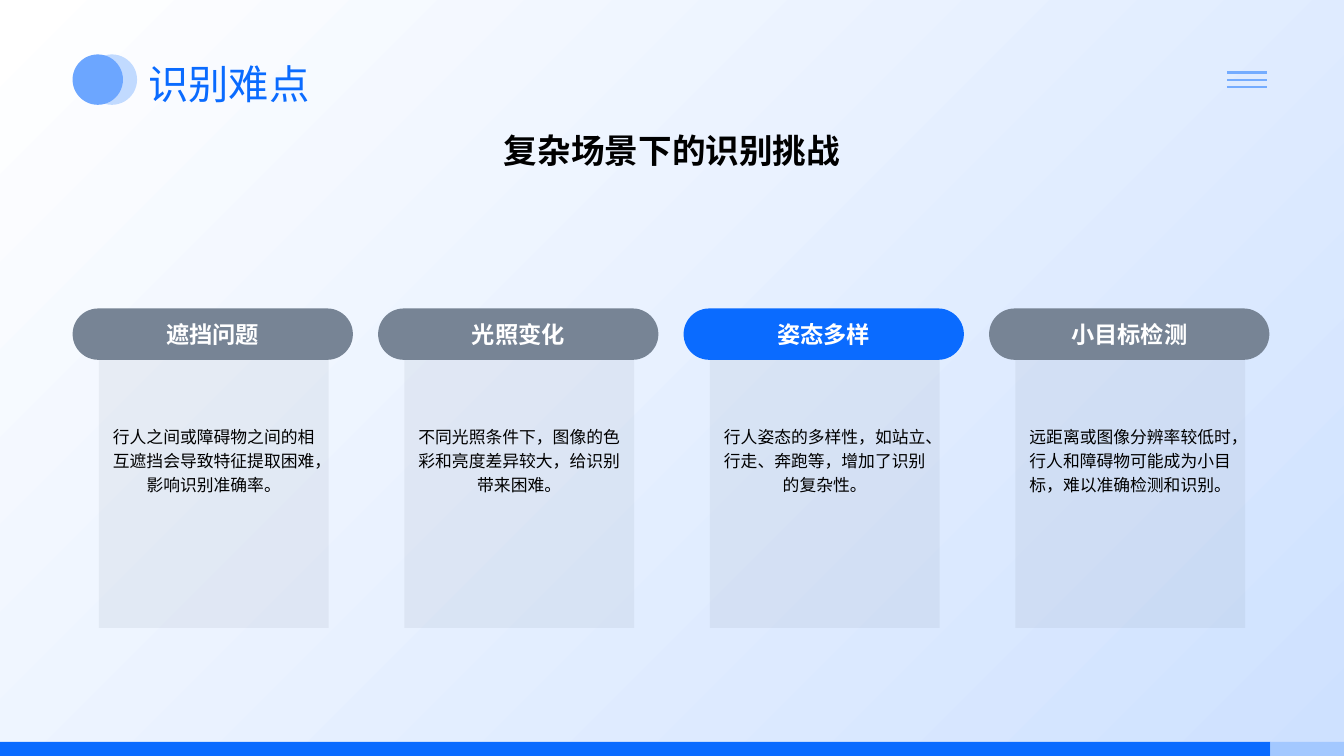
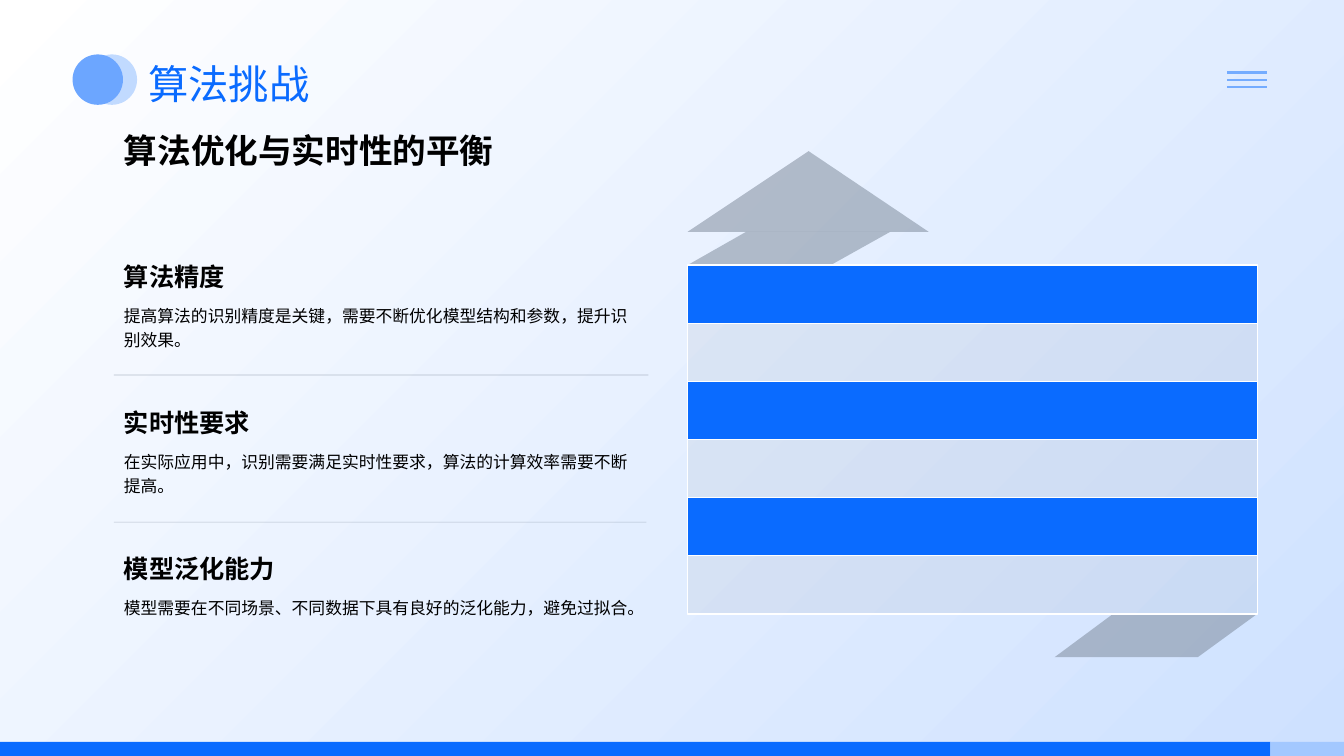
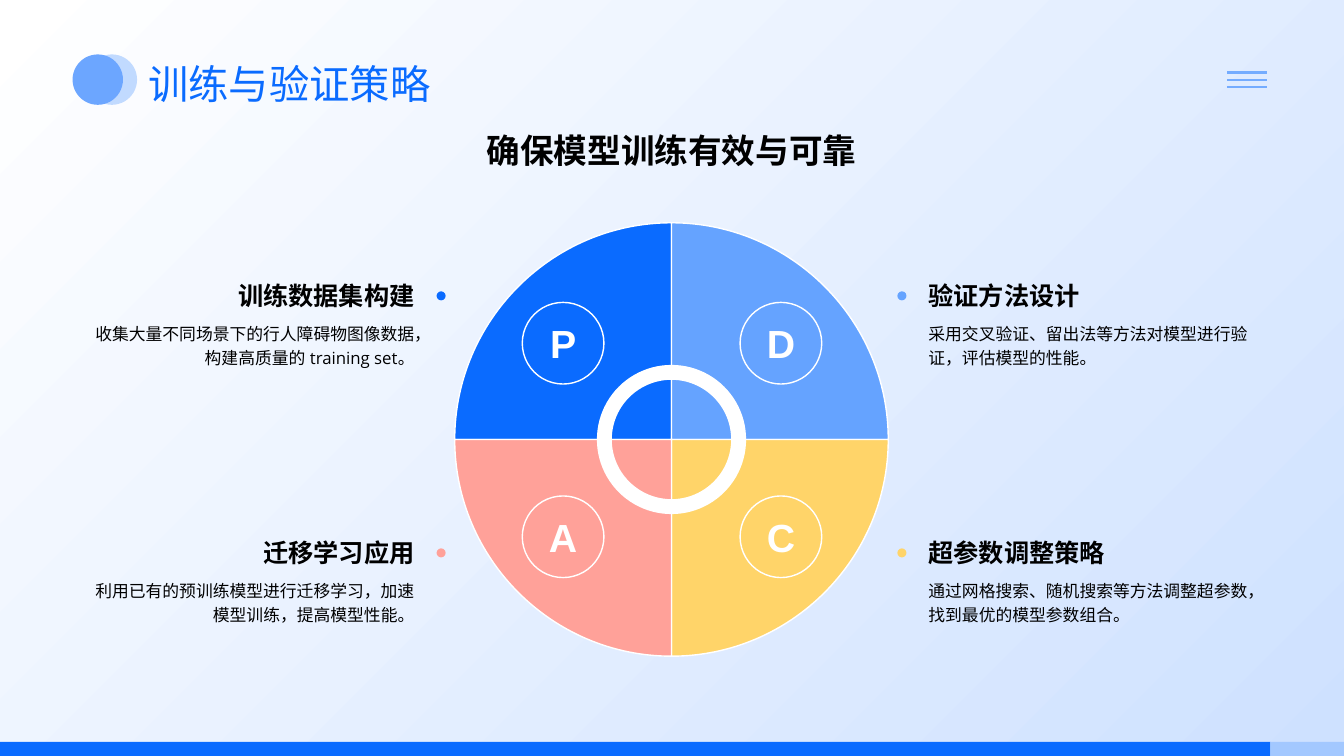
from lxml import etree
from pptx import Presentation
from pptx.dml.color import RGBColor
from pptx.enum.shapes import MSO_CONNECTOR, MSO_SHAPE, MSO_SHAPE_TYPE
from pptx.enum.text import MSO_ANCHOR, MSO_AUTO_SIZE, PP_ALIGN
from pptx.oxml.ns import qn
from pptx.util import Inches, Pt

RECT, OVAL = MSO_SHAPE.RECTANGLE, MSO_SHAPE.OVAL
PILL, RING = MSO_SHAPE.ROUNDED_RECTANGLE, MSO_SHAPE.DONUT
LINE, STRAIGHT = MSO_SHAPE_TYPE.LINE, MSO_CONNECTOR.STRAIGHT
LEFT, MID, RIGHT = PP_ALIGN.LEFT, PP_ALIGN.CENTER, PP_ALIGN.RIGHT
TOP, CENTER, BOTTOM = MSO_ANCHOR.TOP, MSO_ANCHOR.MIDDLE, MSO_ANCHOR.BOTTOM

WHITE = RGBColor(0xFF, 0xFF, 0xFF)
BLACK = RGBColor(0x00, 0x00, 0x00)
BLUE = RGBColor(0x0A, 0x6B, 0xFF)
SKY = RGBColor(0x65, 0xA3, 0xFF)
GOLD = RGBColor(0xFF, 0xD4, 0x69)
PINK = RGBColor(0xFF, 0xA1, 0x99)
SLATE = RGBColor(0x77, 0x84, 0x95)
MIST = RGBColor(0xCE, 0xE1, 0xFF)
PALE = RGBColor(0xC1, 0xDA, 0xFF)
DISC = RGBColor(0x6C, 0xA6, 0xFF)
TAIL = RGBColor(0xA3, 0xC8, 0xFF)
MENU = RGBColor(0x74, 0xAC, 0xFF)

HEAD = {"size": Pt(24), "bold": True}
SUB = {"size": Pt(18), "bold": True}
BODY = {"size": Pt(12)}
TAG = {"size": Pt(16.6), "bold": True}
MARK = {"size": Pt(28), "bold": True, "name": "Arial"}
TITLE = {"size": Pt(28.8)}


def paint(shape, fill=None, edge=None, width=1, alpha=100):
    if shape.shape_type != LINE:
        if fill is None:
            shape.fill.background()
        else:
            shape.fill.solid()
            shape.fill.fore_color.rgb = fill
    if edge is None:
        shape.line.fill.background()
    else:
        shape.line.color.rgb = edge
        shape.line.width = Pt(width)
    props = shape.element.spPr
    if alpha < 100:
        tint = next(props.iter(qn("a:srgbClr")))
        etree.SubElement(tint, qn("a:alpha"), val=str(alpha * 1000))
    etree.SubElement(props, qn("a:effectLst"))


def write(shape, text, style, align=LEFT, anchor=TOP, color=BLACK):
    frame = shape.text_frame
    frame.word_wrap = True
    frame.auto_size = MSO_AUTO_SIZE.NONE
    frame.vertical_anchor = anchor
    para = frame.paragraphs[0]
    para.alignment = align
    if style is BODY:
        para.line_spacing = 1.2
    run = para.add_run()
    run.text = text
    run.font.color.rgb = color
    for key, value in ({"name": "Open Sans"} | style).items():
        setattr(run.font, key, value)
    etree.SubElement(run._r.get_or_add_rPr(), qn("a:ea"), typeface=run.font.name)


deck = Presentation()
deck.slide_width, deck.slide_height = Inches(13.33), Inches(7.5)
layout = deck.slide_layouts[5]
name = layout.placeholders[0]
name.left, name.top = Inches(1.37), Inches(0.14)
name.width, name.height = Inches(11.23), Inches(0.98)

slides = []
for text in ("识别难点", "算法挑战", "训练与验证策略"):
    slide = deck.slides.add_slide(layout)
    write(slide.shapes.title, text, TITLE, anchor=BOTTOM, color=BLUE)
    slides.append(slide.shapes)
hard, algo, train = slides

parts = []
for kind, x, y, w, h, color in (
    (RECT, 0, 0, 13.33, 7.5, WHITE),
    (OVAL, 0.86, 0.54, 0.5, 0.5, PALE),
    (OVAL, 0.72, 0.54, 0.5, 0.5, DISC),
    (RECT, 0, 7.36, 12.6, 0.14, BLUE),
    (RECT, 12.6, 7.36, 0.74, 0.14, TAIL),
):
    part = hard.add_shape(kind, Inches(x), Inches(y), Inches(w), Inches(h))
    paint(part, color)
    parts.append(part)
back = parts[0].fill
back.gradient()
back.gradient_angle = 315
for stop, color, place in zip(back.gradient_stops, (WHITE, MIST), (0, 1)):
    stop.color.rgb = color
    stop.position = place
for i in range(3):
    y = Inches(0.72 + 0.07 * i)
    bar = hard.add_connector(STRAIGHT, Inches(12.17), y, Inches(12.57), y)
    paint(bar, edge=MENU, width=1.5)
    parts.append(bar)
for part in parts:
    layout.shapes.element.append(part.element)

for shapes, x, w, h, align, text in (
    (hard, 2.22, 8.89, 0.64, MID, "复杂场景下的识别挑战"),
    (algo, 1.13, 5.29, 1.05, LEFT, "算法优化与实时性的平衡"),
    (train, 0.72, 11.88, 0.76, MID, "确保模型训练有效与可靠"),
):
    box = shapes.add_textbox(Inches(x), Inches(1.24), Inches(w), Inches(h))
    write(box, text, HEAD, align)

for i, (tag, text, color) in enumerate((
    ("遮挡问题", "行人之间或障碍物之间的相互遮挡会导致特征提取困难，影响识别准确率。", SLATE),
    ("光照变化", "不同光照条件下，图像的色彩和亮度差异较大，给识别带来困难。", SLATE),
    ("姿态多样", "行人姿态的多样性，如站立、行走、奔跑等，增加了识别的复杂性。", BLUE),
    ("小目标检测", "远距离或图像分辨率较低时，行人和障碍物可能成为小目标，难以准确检测和识别。", SLATE),
)):
    x = 0.72 + 3.03 * i
    pill = hard.add_shape(PILL, Inches(x), Inches(3.06), Inches(2.78), Inches(0.51))
    pill.adjustments[0] = 0.5
    paint(pill, color)
    write(pill, tag, TAG, MID, CENTER, WHITE)
    x += 0.26
    card = hard.add_shape(RECT, Inches(x), Inches(3.57), Inches(2.28), Inches(2.66))
    paint(card, SLATE, alpha=10)
    box = hard.add_textbox(Inches(x), Inches(4.14), Inches(2.28), Inches(1.33))
    write(box, text, BODY, MID)

for points in (
    ((8.02, 1.5), (6.82, 2.3), (9.21, 2.3)),
    ((11.04, 6.09), (10.46, 6.52), (11.88, 6.52), (12.47, 6.09)),
    ((7.4, 2.3), (6.82, 2.63), (8.24, 2.63), (8.83, 2.3)),
):
    spots = [(Inches(x), Inches(y)) for x, y in points]
    pen = algo.build_freeform(*spots[0])
    pen.add_line_segments(spots[1:])
    paint(pen.convert_to_shape(), SLATE, alpha=50)

step = 3.46 / 6
for i in reversed(range(6)):
    row = algo.add_shape(RECT, Inches(6.82), Inches(2.63 + step * i), Inches(5.65), Inches(step))
    if i % 2:
        paint(row, SLATE, WHITE, alpha=10)
    else:
        paint(row, BLUE, WHITE)

for y, end in ((3.72, 6.43), (5.18, 6.41)):
    rule = algo.add_connector(STRAIGHT, Inches(1.13), Inches(y), Inches(end), Inches(y))
    paint(rule, edge=SLATE, width=0.5, alpha=50)

for i, (tag, text) in enumerate((
    ("算法精度", "提高算法的识别精度是关键，需要不断优化模型结构和参数，提升识别效果。"),
    ("实时性要求", "在实际应用中，识别需要满足实时性要求，算法的计算效率需要不断提高。"),
    ("模型泛化能力", "模型需要在不同场景、不同数据下具有良好的泛化能力，避免过拟合。"),
)):
    y = 2.46 + 1.45 * i
    box = algo.add_textbox(Inches(1.13), Inches(y), Inches(5.29), Inches(0.48))
    write(box, tag, SUB, anchor=BOTTOM)
    box = algo.add_textbox(Inches(1.13), Inches(y + 0.48), Inches(5.29), Inches(0.67))
    write(box, text, BODY)

mx, my, radius = 6.66, 4.36, 2.15
bend = 0.55 * radius
for mark, tag, text, color, sx, sy in (
    ("P", "训练数据集构建", "收集大量不同场景下的行人障碍物图像数据，构建高质量的 training set。", BLUE, -1, -1),
    ("D", "验证方法设计", "采用交叉验证、留出法等方法对模型进行验证，评估模型的性能。", SKY, 1, -1),
    ("C", "超参数调整策略", "通过网格搜索、随机搜索等方法调整超参数，找到最优的模型参数组合。", GOLD, 1, 1),
    ("A", "迁移学习应用", "利用已有的预训练模型进行迁移学习，加速模型训练，提高模型性能。", PINK, -1, 1),
):
    x, dot, align = (0.72, 4.33, RIGHT) if sx < 0 else (9.11, 8.9, LEFT)
    y = 2.48 if sy < 0 else 5.03
    box = train.add_textbox(Inches(x), Inches(y), Inches(3.49), Inches(0.65))
    write(box, tag, SUB, align, BOTTOM)
    box = train.add_textbox(Inches(x), Inches(y + 0.64), Inches(3.49), Inches(0.75))
    write(box, text, BODY, align)
    spot = train.add_shape(OVAL, Inches(dot), Inches(y + 0.41), Inches(0.09), Inches(0.09))
    paint(spot, color)

    spots = [
        (Inches(mx + sx * dx), Inches(my + sy * dy))
        for dx, dy in ((0, radius), (0, 0), (radius, 0), (radius, bend), (bend, radius), (0, radius))
    ]
    pen = train.build_freeform(*spots[0])
    pen.add_line_segments(spots[1:])
    wedge = pen.convert_to_shape()
    legs = list(wedge.element.iter(qn("a:lnTo")))[2:]
    curve = etree.Element(qn("a:cubicBezTo"))
    legs[0].addprevious(curve)
    for leg in legs:
        curve.append(leg[0])
        leg.getparent().remove(leg)
    paint(wedge, color, WHITE)

    badge = train.add_shape(OVAL, Inches(mx + sx * 1.08 - 0.4), Inches(my + sy * 0.96 - 0.4),
                            Inches(0.81), Inches(0.81))
    paint(badge, edge=WHITE)
    write(badge, mark, MARK, MID, CENTER, WHITE)

ring = train.add_shape(RING, Inches(mx - 0.74), Inches(my - 0.74), Inches(1.48), Inches(1.48))
ring.adjustments[0] = 0.1
paint(ring, WHITE)

deck.save("out.pptx")
